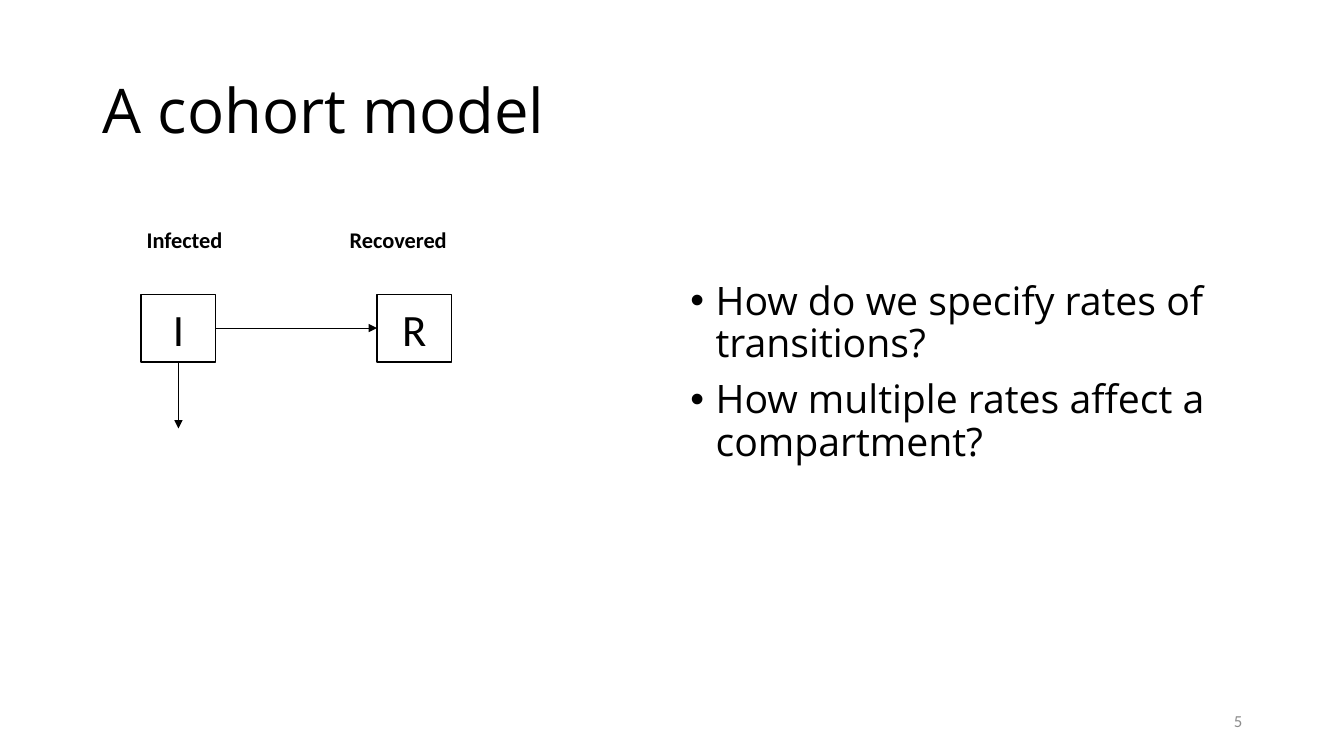
from lxml.etree import SubElement
from pptx import Presentation
from pptx.dml.color import RGBColor
from pptx.enum.shapes import MSO_CONNECTOR, MSO_SHAPE
from pptx.enum.text import MSO_ANCHOR, PP_ALIGN
from pptx.oxml.ns import qn
from pptx.util import Inches, Pt

BLACK = RGBColor(0x00, 0x00, 0x00)
WHITE = RGBColor(0xFF, 0xFF, 0xFF)
GRAY = RGBColor(0x8C, 0x8C, 0x8C)


def write(p, text, size, font="Calibri", color=BLACK, bold=False,
          align=PP_ALIGN.LEFT, spacing=1.0, before=0):
    p.alignment = align
    p.line_spacing = spacing
    p.space_before = Pt(before)
    r = p.add_run()
    r.text = text
    r.font.name = font
    r.font.size = Pt(size)
    r.font.bold = bold
    r.font.color.rgb = color


def add_bullet(p):
    pPr = p._p.get_or_add_pPr()
    pPr.set("marL", str(Inches(0.25)))
    pPr.set("indent", str(Inches(-0.25)))
    SubElement(pPr, qn("a:buFont"), typeface="Arial")
    SubElement(pPr, qn("a:buChar"), char="•")


def add_title(s, text, x, y, w, h):
    sp = s.shapes.title
    sp.left, sp.top, sp.width, sp.height = map(Inches, (x, y, w, h))
    tf = sp.text_frame
    tf.vertical_anchor = MSO_ANCHOR.MIDDLE
    write(tf.paragraphs[0], text, 44, font="Open Sans", spacing=0.9)


def add_questions(s, questions, x, y, w, h):
    tf = s.shapes.add_textbox(*map(Inches, (x, y, w, h))).text_frame
    tf.word_wrap = True
    for i, question in enumerate(questions):
        p = tf.add_paragraph() if i else tf.paragraphs[0]
        add_bullet(p)
        write(p, question, 28, font="Open Sans", spacing=0.9,
              before=10 if i else 0)


def add_page_number(s, number, x, y, w, h):
    tf = s.shapes.add_textbox(*map(Inches, (x, y, w, h))).text_frame
    tf.word_wrap = True
    tf.vertical_anchor = MSO_ANCHOR.MIDDLE
    write(tf.paragraphs[0], number, 12, color=GRAY, align=PP_ALIGN.RIGHT)


def add_box(s, text, x, y, w, h, size, bold=False, outlined=False):
    sp = s.shapes.add_shape(MSO_SHAPE.RECTANGLE, *map(Inches, (x, y, w, h)))
    sp.shadow.inherit = False
    sp.fill.solid()
    sp.fill.fore_color.rgb = WHITE
    if outlined:
        sp.line.color.rgb = BLACK
        sp.line.width = Pt(1)
    else:
        sp.line.fill.background()
    tf = sp.text_frame
    tf.vertical_anchor = MSO_ANCHOR.MIDDLE
    write(tf.paragraphs[0], text, size, bold=bold, align=PP_ALIGN.CENTER)
    return sp


def add_arrow(s, x1, y1, x2, y2):
    c = s.shapes.add_connector(MSO_CONNECTOR.STRAIGHT,
                               *map(Inches, (x1, y1, x2, y2)))
    c.line.color.rgb = BLACK
    c.line.width = Pt(0.5)
    SubElement(c.line._get_or_add_ln(), qn("a:tailEnd"), type="triangle")
    SubElement(c._element.spPr, qn("a:effectLst"))
    return c


def add_model(s, x, y):
    w, h, step = 0.74, 0.67, 2.34
    box_y = y + 0.88
    infected = add_box(s, "I", x + 0.24, box_y, w, h, 32, outlined=True)
    recovered = add_box(s, "R", x + 0.24 + step, box_y, w, h, 32, outlined=True)
    add_box(s, "Infected", x, y, 1.34, h, 16, bold=True)
    add_box(s, "Recovered", x + 2.12, y, 1.34, h, 16, bold=True)

    left, mid = x + 0.24, box_y + h / 2
    recovery = add_arrow(s, left + w, mid, left + step, mid)
    recovery.begin_connect(infected, 3)
    recovery.end_connect(recovered, 1)
    center, bottom = left + w / 2, box_y + h
    exit_arrow = add_arrow(s, center, bottom, center, bottom + 0.66)
    exit_arrow.begin_connect(infected, 2)


def main():
    prs = Presentation()
    prs.slide_width, prs.slide_height = Inches(13.33), Inches(7.5)
    s = prs.slides.add_slide(prs.slide_layouts[5])
    add_title(s, "A cohort model", 0.92, 0.4, 11.5, 1.45)
    add_questions(s, ["How do we specify rates of transitions?",
                      "How multiple rates affect a compartment?"],
                  6.75, 2.74, 5.67, 4.03)
    add_page_number(s, "5", 9.42, 6.95, 3, 0.4)
    add_model(s, 1.16, 2.04)
    prs.save("out.pptx")


if __name__ == "__main__":
    main()
